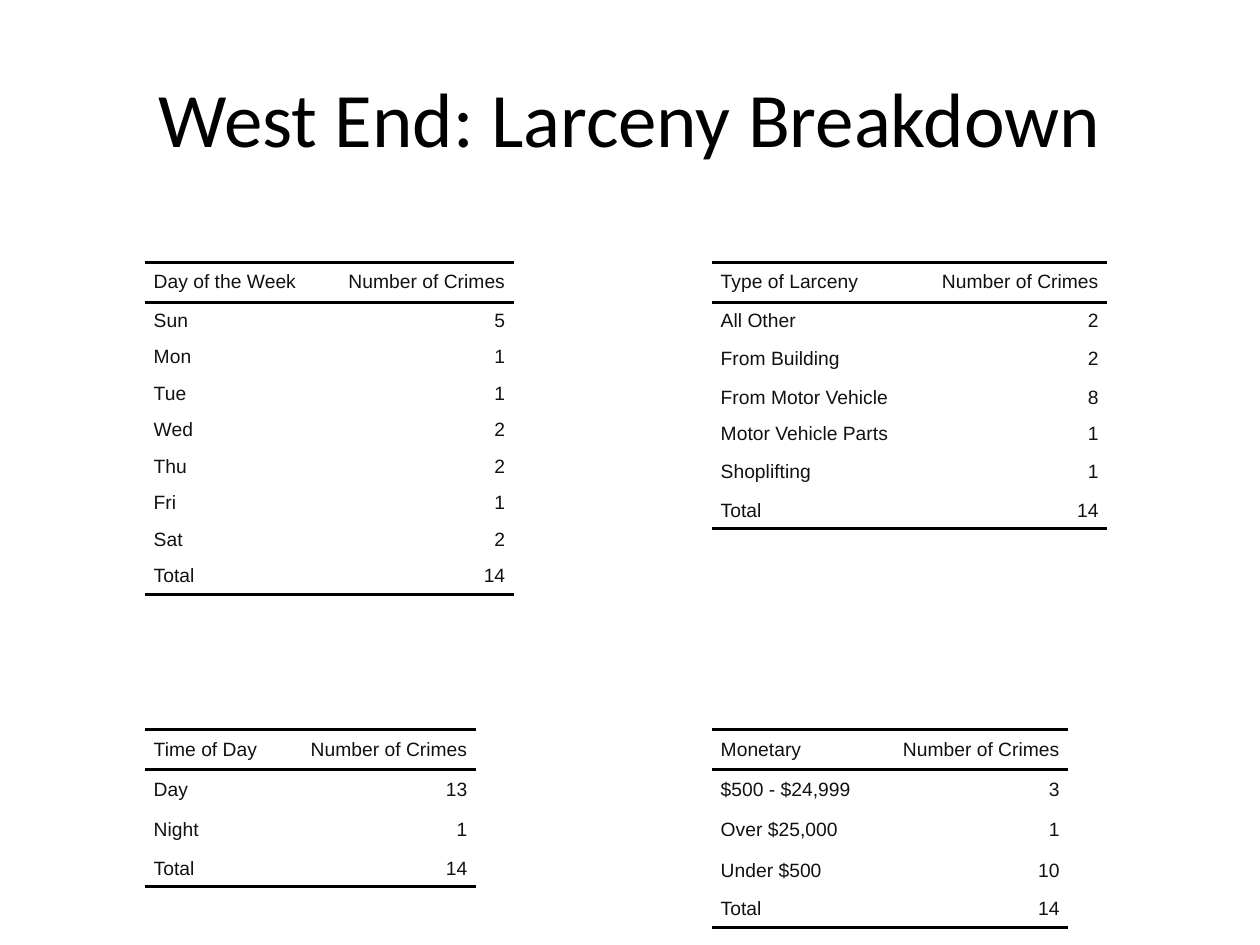
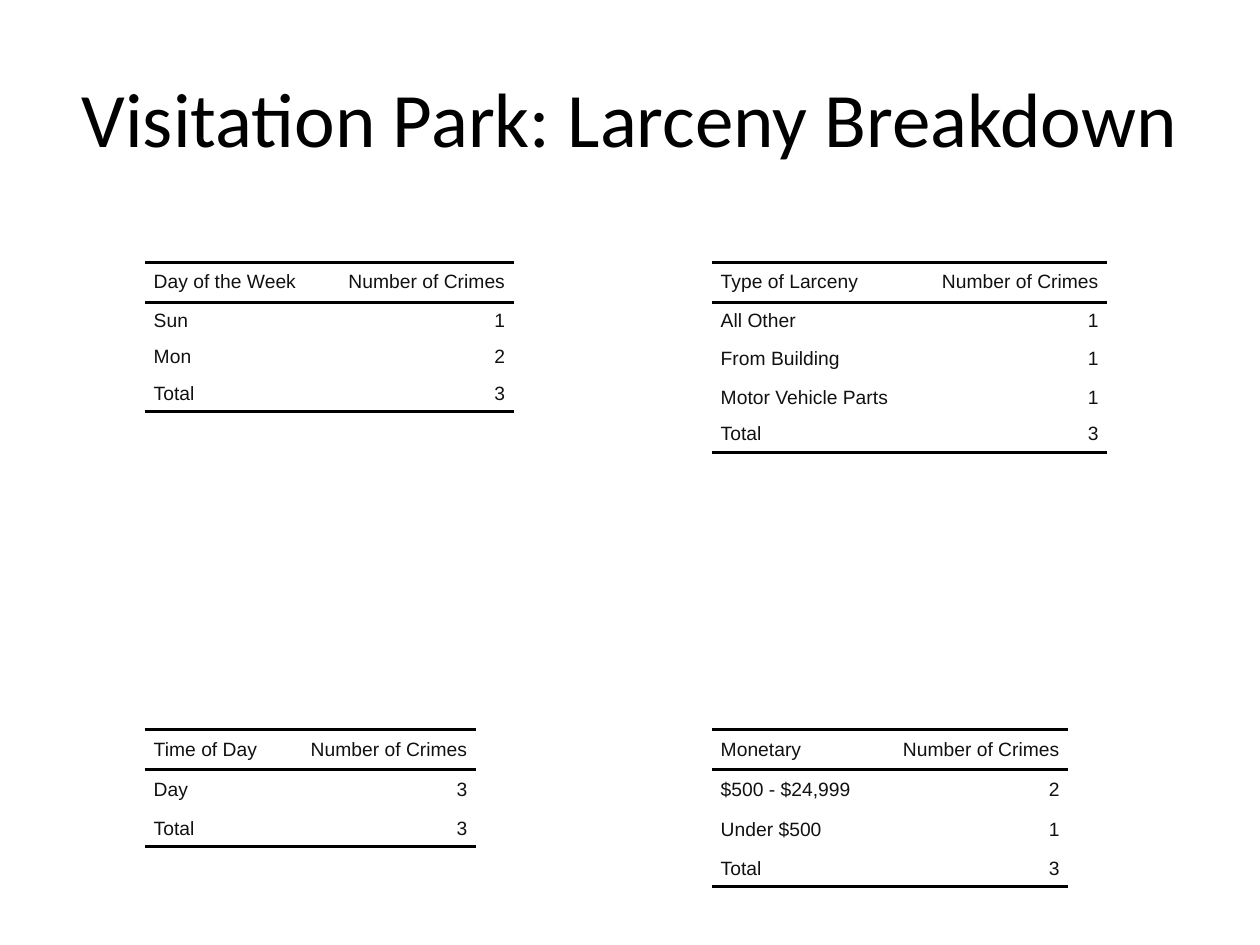
from dataclasses import dataclass
from itertools import cycle, islice

from lxml.etree import SubElement
from pptx import Presentation
from pptx.dml.color import RGBColor
from pptx.enum.text import MSO_ANCHOR as Anchor, PP_ALIGN as Align
from pptx.oxml.ns import qn
from pptx.slide import Slide
from pptx.table import _Cell as Cell
from pptx.text.text import _Paragraph as Paragraph
from pptx.util import Emu, Inches, Pt

# Shared style
BLACK = RGBColor(0x00, 0x00, 0x00)
TABLE_TEXT = RGBColor(0x11, 0x11, 0x11)
WHITE = RGBColor(0xFF, 0xFF, 0xFF)
TITLE_FONT, TITLE_SIZE = "Calibri", Pt(44)
TABLE_FONT, TABLE_SIZE = "Arial", Pt(11)
RULE_WIDTH = Pt(2)
CELL_INDENT = Inches(0.07)

# Page grid
SLIDE_WIDTH, SLIDE_HEIGHT = Inches(10), Inches(7.5)
TITLE_AREA = (0.05, 0.04, 0.9, 1 / 6)  # shares: left, top, width, height
COLUMN_LEFTS = (0.115, 0.565)  # shares of the width
ROW_TOPS = (2.08 / 7.5, 5.79 / 7.5)  # shares of the height

# Table measures in inches
COUNT_WIDTH = 1.52
HEADER_HEIGHT = 0.32
TOTAL_HEIGHT = 0.29
COUNT_HEADING = "Number of Crimes"


@dataclass(frozen=True)
class Panel:
    heading: str
    column: int
    row: int
    label_width: float
    body_heights: tuple[float, ...]  # repeated down the body rows


@dataclass(frozen=True)
class Neighborhood:
    name: str
    counts: tuple[dict[str, int], ...]  # one per panel


PANELS = (
    Panel("Day of the Week", 0, 0, 1.41, (0.29,)),
    Panel("Time of Day", 0, 1, 1.11, (0.32,)),
    Panel("Type of Larceny", 1, 0, 1.62, (0.29, 0.32, 0.29)),
    Panel("Monetary", 1, 1, 1.31, (0.32,)),
)

NEIGHBORHOODS = (
    Neighborhood("West End", (
        {"Sun": 5, "Mon": 1, "Tue": 1, "Wed": 2, "Thu": 2, "Fri": 1, "Sat": 2},
        {"Day": 13, "Night": 1},
        {"All Other": 2, "From Building": 2, "From Motor Vehicle": 8,
         "Motor Vehicle Parts": 1, "Shoplifting": 1},
        {"$500 - $24,999": 3, "Over $25,000": 1, "Under $500": 10},
    )),
    Neighborhood("Visitation Park", (
        {"Sun": 1, "Mon": 2},
        {"Day": 3},
        {"All Other": 1, "From Building": 1, "Motor Vehicle Parts": 1},
        {"$500 - $24,999": 2, "Under $500": 1},
    )),
)


def add_run(paragraph: Paragraph, text: str, font: str, size: Pt, color: RGBColor) -> None:
    run = paragraph.add_run()
    run.text = text
    run.font.name = font
    run.font.size = size
    run.font.color.rgb = color


def add_title(slide: Slide, text: str) -> None:
    left, top, width, height = TITLE_AREA
    shape = slide.shapes.add_textbox(
        Emu(int(left * SLIDE_WIDTH)), Emu(int(top * SLIDE_HEIGHT)),
        Emu(int(width * SLIDE_WIDTH)), Emu(int(height * SLIDE_HEIGHT)))
    frame = shape.text_frame
    frame.word_wrap = True
    frame.vertical_anchor = Anchor.MIDDLE
    paragraph = frame.paragraphs[0]
    paragraph.alignment = Align.CENTER
    add_run(paragraph, text, TITLE_FONT, TITLE_SIZE, BLACK)


def set_borders(cell: Cell, top: bool, bottom: bool) -> None:
    properties = cell._tc.get_or_add_tcPr()
    sides = {"a:lnL": False, "a:lnR": False, "a:lnT": top, "a:lnB": bottom}
    for tag, ruled in sides.items():
        line = SubElement(properties, qn(tag))
        if ruled:
            line.set("w", str(RULE_WIDTH))
            fill = SubElement(line, qn("a:solidFill"))
            SubElement(fill, qn("a:srgbClr")).set("val", str(BLACK))
        else:
            SubElement(line, qn("a:noFill"))


def fill_cell(cell: Cell, text: str, alignment: Align) -> None:
    cell.margin_left = cell.margin_right = cell.margin_top = cell.margin_bottom = 0
    cell.vertical_anchor = Anchor.MIDDLE
    cell.fill.background()
    paragraph = cell.text_frame.paragraphs[0]
    paragraph.alignment = alignment
    for side in ("marL", "marR"):
        paragraph._p.get_or_add_pPr().set(side, str(CELL_INDENT))
    add_run(paragraph, text, TABLE_FONT, TABLE_SIZE, TABLE_TEXT)


def add_panel(slide: Slide, panel: Panel, counts: dict[str, int]) -> None:
    rows = [(panel.heading, COUNT_HEADING), *counts.items(), ("Total", sum(counts.values()))]
    heights = [HEADER_HEIGHT, *islice(cycle(panel.body_heights), len(counts)), TOTAL_HEIGHT]
    widths = (panel.label_width, COUNT_WIDTH)
    table = slide.shapes.add_table(
        len(rows), len(widths),
        Emu(int(COLUMN_LEFTS[panel.column] * SLIDE_WIDTH)),
        Emu(int(ROW_TOPS[panel.row] * SLIDE_HEIGHT)),
        Inches(sum(widths)), Inches(sum(heights))).table
    table.first_row = table.horz_banding = False
    for column, width in zip(table.columns, widths):
        column.width = Inches(width)

    # Rules lie above and below the header and below the total
    ruled_edges = {0, 1, len(rows)}
    for index, (values, height) in enumerate(zip(rows, heights)):
        table.rows[index].height = Inches(height)
        for column, (value, alignment) in enumerate(zip(values, (Align.LEFT, Align.RIGHT))):
            cell = table.cell(index, column)
            set_borders(cell, index in ruled_edges, index + 1 in ruled_edges)
            fill_cell(cell, str(value), alignment)


def add_breakdown_slide(presentation: Presentation, neighborhood: Neighborhood) -> None:
    slide = presentation.slides.add_slide(presentation.slide_layouts[6])
    slide.background.fill.solid()
    slide.background.fill.fore_color.rgb = WHITE
    add_title(slide, f"{neighborhood.name}: Larceny Breakdown")
    for panel, counts in zip(PANELS, neighborhood.counts):
        add_panel(slide, panel, counts)


def main() -> None:
    presentation = Presentation()
    presentation.slide_width, presentation.slide_height = SLIDE_WIDTH, SLIDE_HEIGHT
    for neighborhood in NEIGHBORHOODS:
        add_breakdown_slide(presentation, neighborhood)
    presentation.save("out.pptx")


if __name__ == "__main__":
    main()
